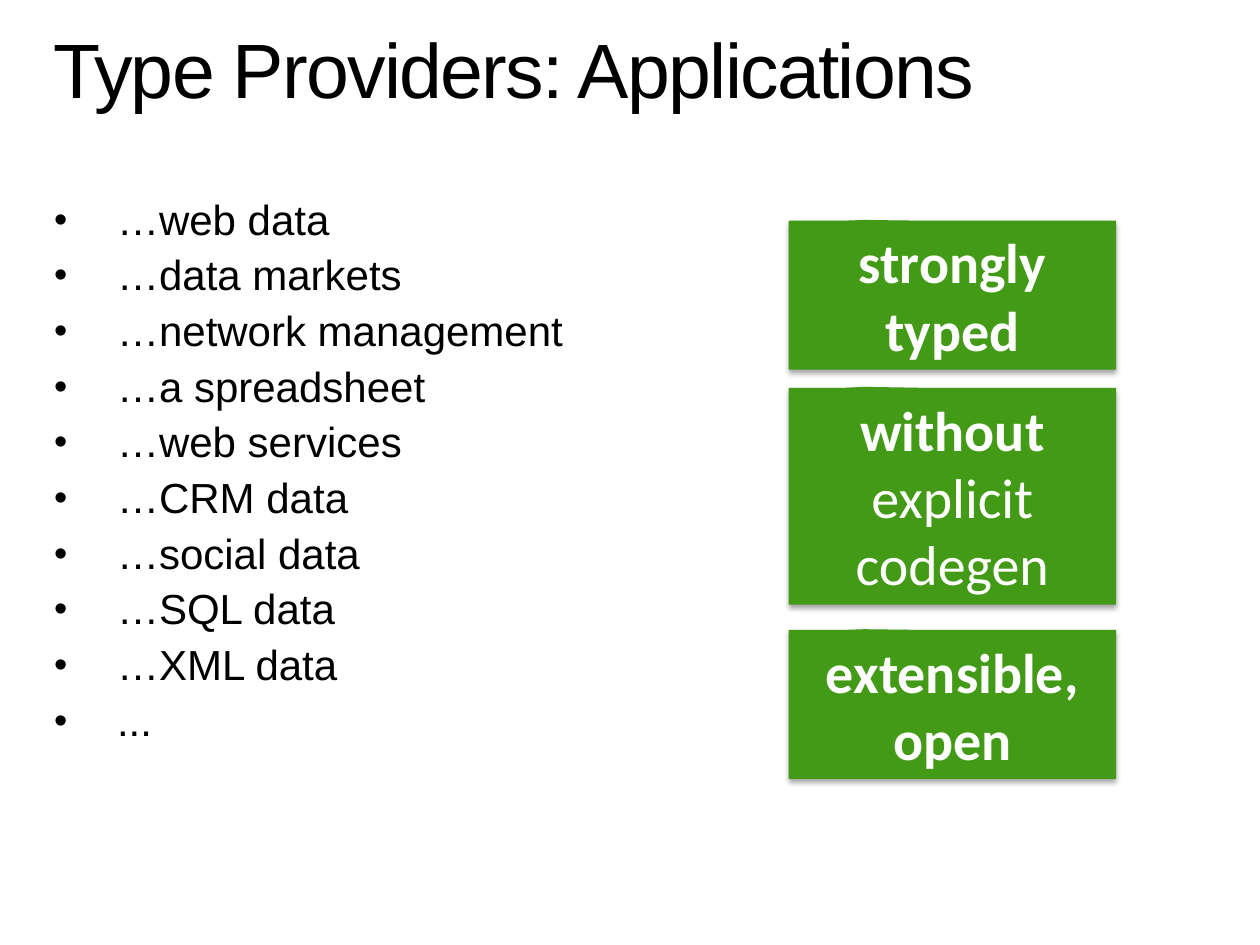
from dataclasses import dataclass

import pptx
import pptx.dml.color
import pptx.enum.shapes
import pptx.enum.text
import pptx.oxml
import pptx.oxml.ns
import pptx.util
from pptx.util import Cm, Pt

COLORS = {"text": "000000", "callout": "429A16", "callout_text": "FFFFFF", "shadow": "000000"}
NAMESPACE = pptx.oxml.ns.nsdecls("a")

TITLE_FONT = {"name": "Arial", "size": Pt(44), "bold": False}
LIST_FONT = {"name": "Arial", "size": Pt(24), "bold": False}
CALLOUT_FONT = {"name": "Calibri", "size": Pt(32)}

TITLE_BOX = {"left": Cm(1.07), "top": Cm(0.64), "width": Cm(23.29), "height": Cm(1.7)}
LIST_BOX = {"left": Cm(1.09), "top": Cm(4.01), "width": Cm(23.24), "height": Cm(12.22)}
CALLOUT_LEFT, CALLOUT_WIDTH = Cm(15.9), Cm(6.6)

FRAME_FORMAT = {
    "margin_left": 0, "margin_top": 0, "margin_right": 0, "margin_bottom": 0,
    "word_wrap": True,
    "vertical_anchor": pptx.enum.text.MSO_ANCHOR.TOP,
    "auto_size": pptx.enum.text.MSO_AUTO_SIZE.SHAPE_TO_FIT_TEXT,
}
CALLOUT_FRAME_FORMAT = {
    "word_wrap": True,
    "vertical_anchor": pptx.enum.text.MSO_ANCHOR.MIDDLE,
    "auto_size": pptx.enum.text.MSO_AUTO_SIZE.SHAPE_TO_FIT_TEXT,
}

APPLICATIONS = [
    "…web data", "…data markets", "…network management", "…a spreadsheet",
    "…web services", "…CRM data", "…social data", "…SQL data", "…XML data", "...",
]


@dataclass
class Callout:
    top: float
    height: float
    bold_text: str
    plain_text: str = ""


CALLOUTS = [
    Callout(4.45, 3, "strongly typed"),
    Callout(7.82, 4.37, "without ", "explicit codegen"),
    Callout(12.7, 3, "extensible, open"),
]


def apply_format(target: object, values: dict) -> None:
    for name, value in values.items():
        setattr(target, name, value)


def format_font(font, values: dict, color: str) -> None:
    apply_format(font, values)
    font.color.rgb = pptx.dml.color.RGBColor.from_string(COLORS[color])


def add_bullet(paragraph) -> None:
    properties = paragraph._p.get_or_add_pPr()
    properties.set("marL", str(Cm(1.27)))
    properties.set("indent", str(-Cm(1.27)))
    for element in ('buSzPct {} val="90000"', 'buFont {} typeface="Arial"', 'buChar {} char="•"'):
        properties.append(pptx.oxml.parse_xml(f"<a:{element.format(NAMESPACE)}/>"))


def add_shadow(shape) -> None:
    shape.shadow.inherit = False
    effects = shape._element.spPr.find(pptx.oxml.ns.qn("a:effectLst"))
    effects.append(pptx.oxml.parse_xml(
        f'<a:outerShdw {NAMESPACE} blurRad="{Pt(3.1)}" dist="{Pt(1.8)}" dir="5400000" rotWithShape="0">'
        f'<a:srgbClr val="{COLORS["shadow"]}"><a:alpha val="35000"/></a:srgbClr></a:outerShdw>'
    ))


def fill_title(shape, text: str) -> None:
    apply_format(shape, TITLE_BOX)
    apply_format(shape.text_frame, FRAME_FORMAT)
    paragraph = shape.text_frame.paragraphs[0]
    apply_format(paragraph, {"alignment": pptx.enum.text.PP_ALIGN.LEFT, "line_spacing": 0.9})
    run = paragraph.add_run()
    run.text = text
    format_font(run.font, TITLE_FONT, "text")
    run.font._element.set("spc", "-100")


def fill_list(shape, items: list[str]) -> None:
    apply_format(shape, LIST_BOX)
    frame = shape.text_frame
    apply_format(frame, FRAME_FORMAT)
    for index, item in enumerate(items):
        paragraph = frame.add_paragraph() if index else frame.paragraphs[0]
        add_bullet(paragraph)
        apply_format(paragraph, {"line_spacing": 0.9, "space_before": Pt(5.9 if index else 0)})
        run = paragraph.add_run()
        run.text = item
        format_font(run.font, LIST_FONT, "text")


def draw_callout(slide, callout: Callout) -> None:
    shape = slide.shapes.add_shape(
        pptx.enum.shapes.MSO_SHAPE.RECTANGULAR_CALLOUT,
        CALLOUT_LEFT, Cm(callout.top), CALLOUT_WIDTH, Cm(callout.height),
    )
    shape.adjustments[0], shape.adjustments[1] = -0.27, -0.505
    shape.fill.solid()
    shape.fill.fore_color.rgb = pptx.dml.color.RGBColor.from_string(COLORS["callout"])
    shape.line.fill.background()
    add_shadow(shape)
    apply_format(shape.text_frame, CALLOUT_FRAME_FORMAT)
    paragraph = shape.text_frame.paragraphs[0]
    paragraph.alignment = pptx.enum.text.PP_ALIGN.CENTER
    for text, bold in ((callout.bold_text, True), (callout.plain_text, False)):
        if text:
            run = paragraph.add_run()
            run.text = text
            format_font(run.font, CALLOUT_FONT | {"bold": bold}, "callout_text")


def main() -> None:
    presentation = pptx.Presentation()
    apply_format(presentation, {"slide_width": Cm(25.4), "slide_height": Cm(19.05)})
    slide = presentation.slides.add_slide(presentation.slide_layouts[1])

    # Title and list of applications
    fill_title(slide.shapes.title, "Type Providers: Applications")
    fill_list(slide.placeholders[1], APPLICATIONS)

    # Green callouts on the right
    for callout in CALLOUTS:
        draw_callout(slide, callout)

    presentation.save("out.pptx")


if __name__ == "__main__":
    main()
